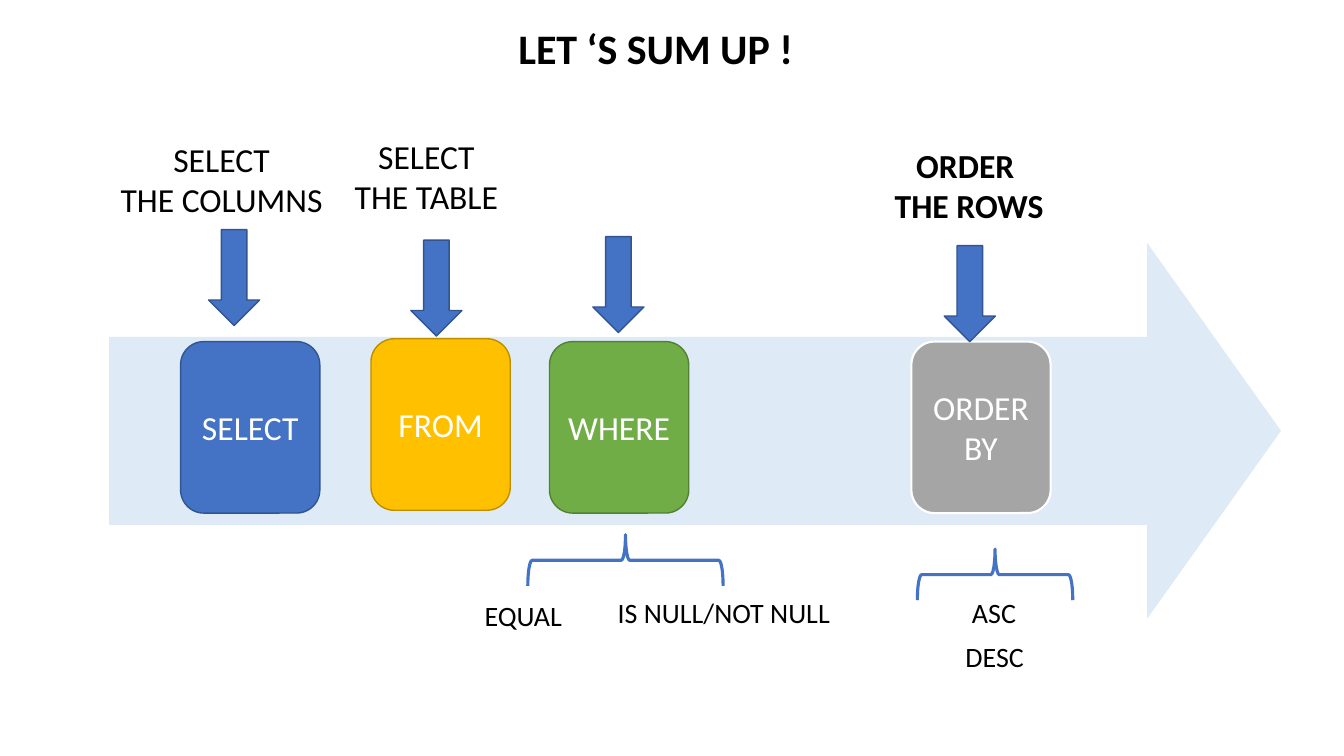
from dataclasses import dataclass
from typing import Optional

from pptx import Presentation
from pptx.dml.color import RGBColor
from pptx.enum.shapes import MSO_SHAPE as Preset
from pptx.enum.text import MSO_ANCHOR as Anchor, MSO_AUTO_SIZE as AutoSize, PP_ALIGN as Align
from pptx.util import Pt


@dataclass(frozen=True)
class Theme:
    font: str = "Calibri"
    title_size: float = 30
    label_size: float = 24
    detail_size: float = 20
    black: str = "000000"
    white: str = "FFFFFF"
    band: str = "DEEBF7"
    blue: str = "4472C4"
    blue_edge: str = "325491"
    gold: str = "FFC000"
    gold_edge: str = "BD8E00"
    green: str = "70AD47"
    green_edge: str = "538035"
    grey: str = "A5A5A5"


THEME = Theme()


@dataclass(frozen=True)
class Box:
    left: float
    top: float
    width: float
    height: float

    def lengths(self) -> tuple:
        return Pt(self.left), Pt(self.top), Pt(self.width), Pt(self.height)


@dataclass(frozen=True)
class Clause:
    """One SQL keyword card and the arrow that points to it."""
    keyword: str
    left: float
    top: float
    fill: str
    edge: str
    arrow_left: float
    arrow_top: float
    edge_width: float = 1


@dataclass(frozen=True)
class Caption:
    text: str
    box: Box
    size: float = THEME.detail_size
    bold: bool = False


CARD_WIDTH, CARD_HEIGHT = 99.5, 122.5
ARROW_WIDTH, ARROW_HEIGHT = 36.5, 68.5
TITLE_BOX = Box(363, 12.5, 213, 43.5)
BAND_BOX = Box(78, 173.5, 837, 268.5)

CLAUSES = [
    Clause("SELECT", 129, 244, THEME.blue, THEME.blue_edge, 149, 164),
    Clause("FROM", 265, 242, THEME.gold, THEME.gold_edge, 293.5, 171.5),
    Clause("WHERE", 392.5, 244, THEME.green, THEME.green_edge, 423.5, 169),
    Clause("ORDER\vBY", 651, 244, THEME.grey, THEME.white, 674.5, 175.5, edge_width=1.5),
]

CAPTIONS = [
    Caption("SELECT\nTHE COLUMNS", Box(78, 95.5, 160.5, 65.5), THEME.label_size),
    Caption("SELECT\nTHE TABLE", Box(245.5, 93.5, 118, 65.5), THEME.label_size),
    Caption("ORDER \nTHE ROWS", Box(631.5, 100, 121.5, 65.5), THEME.label_size, bold=True),
    Caption("EQUAL", Box(338.5, 424, 70.5, 31.5)),
    Caption("IS NULL/NOT NULL", Box(433.5, 422, 167, 31.5)),
    Caption("ASC", Box(687, 422, 46, 31.5)),
    Caption("DESC", Box(682, 453.5, 57, 31.5)),
]

# Frames before the quarter turn that makes the braces open downwards.
BRACES = [Box(428.5, 330.5, 36.5, 139.5), Box(692.5, 355, 36.5, 111)]


def write_text(frame, text: str, *, size: float, color: str = THEME.black, bold: bool = False,
               align=Align.CENTER, anchor=Anchor.TOP, wrap: bool = False,
               auto_size=AutoSize.SHAPE_TO_FIT_TEXT) -> None:
    frame.text = text
    frame.word_wrap = wrap
    frame.auto_size = auto_size
    frame.vertical_anchor = anchor
    for paragraph in frame.paragraphs:
        paragraph.alignment = align
        for run in paragraph.runs:
            run.font.name = THEME.font
            run.font.size = Pt(size)
            run.font.bold = bold
            run.font.color.rgb = RGBColor.from_string(color)


def add_preset(slide, preset, box: Box, *, fill: Optional[str] = None,
               edge: Optional[str] = None, edge_width: float = 1):
    shape = slide.shapes.add_shape(preset, *box.lengths())
    shape.shadow.inherit = False
    if fill:
        shape.fill.solid()
        shape.fill.fore_color.rgb = RGBColor.from_string(fill)
    else:
        shape.fill.background()
    if edge:
        shape.line.color.rgb = RGBColor.from_string(edge)
        shape.line.width = Pt(edge_width)
    else:
        shape.line.fill.background()
    return shape


def add_title(slide, text: str) -> None:
    title = slide.shapes.title
    title.left, title.top, title.width, title.height = TITLE_BOX.lengths()
    write_text(title.text_frame, text, size=THEME.title_size, bold=True, align=Align.LEFT)


def add_band(slide) -> None:
    band = add_preset(slide, Preset.RIGHT_ARROW, BAND_BOX, fill=THEME.band)
    band.adjustments[0] = 0.5
    band.adjustments[1] = 0.356


def add_clause(slide, clause: Clause) -> None:
    card_box = Box(clause.left, clause.top, CARD_WIDTH, CARD_HEIGHT)
    card = add_preset(slide, Preset.ROUNDED_RECTANGLE, card_box, fill=clause.fill,
                      edge=clause.edge, edge_width=clause.edge_width)
    write_text(card.text_frame, clause.keyword, size=THEME.label_size, color=THEME.white,
               anchor=Anchor.MIDDLE, wrap=True, auto_size=AutoSize.NONE)
    arrow_box = Box(clause.arrow_left, clause.arrow_top, ARROW_WIDTH, ARROW_HEIGHT)
    add_preset(slide, Preset.DOWN_ARROW, arrow_box, fill=THEME.blue, edge=THEME.blue_edge)


def add_caption(slide, caption: Caption) -> None:
    text_box = slide.shapes.add_textbox(*caption.box.lengths())
    write_text(text_box.text_frame, caption.text, size=caption.size, bold=caption.bold)


def add_brace(slide, box: Box) -> None:
    brace = add_preset(slide, Preset.LEFT_BRACE, box, edge=THEME.blue, edge_width=2.25)
    brace.rotation = 90


def main() -> None:
    presentation = Presentation()
    presentation.slide_width, presentation.slide_height = Pt(960), Pt(540)
    title_only = presentation.slide_layouts.get_by_name("Title Only")
    slide = presentation.slides.add_slide(title_only)
    add_title(slide, "LET ‘S SUM UP !")
    add_band(slide)
    for clause in CLAUSES:
        add_clause(slide, clause)
    for brace_box in BRACES:
        add_brace(slide, brace_box)
    for caption in CAPTIONS:
        add_caption(slide, caption)
    presentation.save("out.pptx")


if __name__ == "__main__":
    main()
